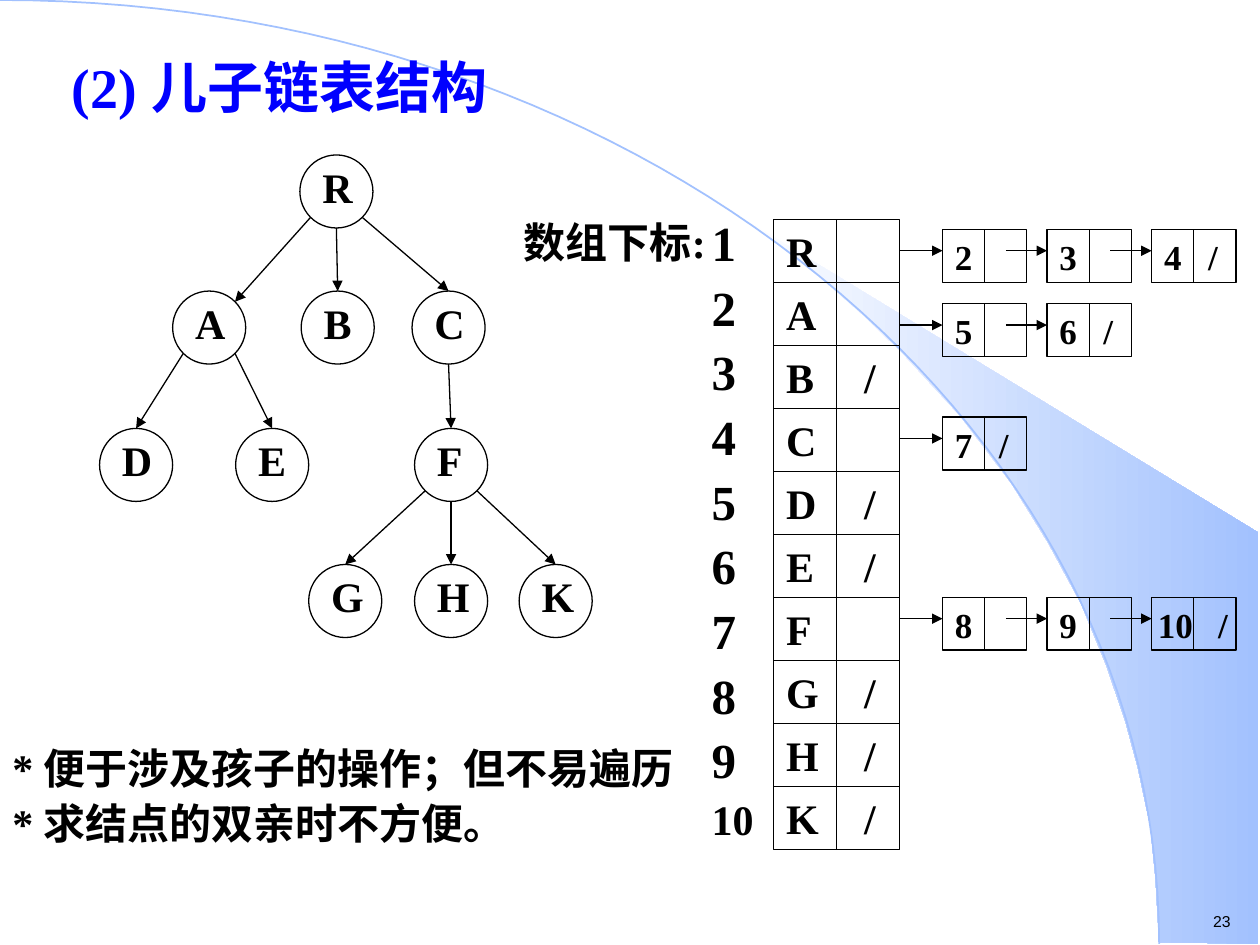
from lxml import etree
from pptx import Presentation
from pptx import util as u
from pptx.dml.color import RGBColor
from pptx.enum import shapes, text
from pptx.oxml.ns import qn

COLORS = {"ink": "000000", "title": "0000FF", "sky": "A2C1FE", "white": "FFFFFF"}
SERIF, SANS = "Times New Roman", "Arial"
ANCHORS = {"top": text.MSO_ANCHOR.TOP, "middle": text.MSO_ANCHOR.MIDDLE}

CIRCLE, DIAGONAL = 0.58, 0.205
TREE = {
    "R": (2.38, 1.23), "A": (1.37, 2.31), "B": (2.39, 2.31), "C": (3.27, 2.31),
    "D": (0.79, 3.4), "E": (1.87, 3.4), "F": (3.29, 3.4),
    "G": (2.45, 4.48), "H": (3.29, 4.48), "K": (4.12, 4.48),
}
EDGES = ["RA", "RB", "RC", "AD", "AE", "CF", "FG", "FH", "FK"]

ARRAY_X, ARRAY_Y, ROW_W, ROW_H = 6.14, 1.74, 1, 0.5
ROWS = ["R", "A", "B\t/", "C", "D\t/", "E\t/", "F", "G\t/", "H\t/", "K\t/"]
NODE_X, NODE_STEP, NODE_W, NODE_H = 7.48, 0.83, 0.67, 0.42
CHAINS = [
    (1.82, ["2", "3", "4\t/"]),
    (2.41, ["5", "6\t/"]),
    (3.31, ["7\t/"]),
    (4.74, ["8", "9", "10\t/"]),
]

BAND = [
    (9.2, 7.48), (9.99, 7.49), (9.99, 4.23), (5.89, 1.73), (6.24, 1.99), (6.53, 2.22),
    (6.85, 2.5), (7.16, 2.8), (7.62, 3.3), (8.03, 3.84), (8.32, 4.31), (8.58, 4.79),
    (8.78, 5.28), (8.93, 5.72), (9.03, 6.09), (9.13, 6.56), (9.17, 6.96),
]
ARC = [(0, 0), (5.08, 0), (9.2, 3.35), (9.2, 7.49)]


def bezier(controls, steps=60):
    """Return points along a cubic curve."""
    points = []
    for step in range(steps + 1):
        t = step / steps
        weights = [(1 - t) ** 3, 3 * t * (1 - t) ** 2, 3 * t * t * (1 - t), t ** 3]
        points.append(tuple(sum(w * c[axis] for w, c in zip(weights, controls))
                            for axis in (0, 1)))
    return points


def apply(target, values):
    """Set each attribute named in values."""
    for name, value in values.items():
        setattr(target, name, value)


class Sketch:
    """Draws styled elements on the current slide."""

    def __init__(self, slide):
        """Keep the slide that receives the elements."""
        self.slide = slide

    def color(self, name):
        """Look up a palette colour."""
        return RGBColor.from_string(COLORS[name])

    def outline(self, element, color="ink", width=0.75):
        """Give an element a solid line."""
        element.line.color.rgb = self.color(color)
        element.line.width = u.Pt(width)

    def fill_text(self, frame, lines, size=24, font=SERIF, color="ink", bold=True,
                  anchor="top", wrap=False, spacing=None, tab=None):
        """Fill a text frame with one paragraph per line."""
        apply(frame, {"word_wrap": wrap, "vertical_anchor": ANCHORS[anchor]})
        frame.text = "\n".join(lines)
        for paragraph in frame.paragraphs:
            if tab:
                tabs = etree.SubElement(paragraph._p.get_or_add_pPr(), qn("a:tabLst"))
                etree.SubElement(tabs, qn("a:tab"), pos=str(u.Inches(tab)), algn="l")
            apply(paragraph, {"alignment": text.PP_ALIGN.LEFT, "line_spacing": spacing})
            for run in paragraph.runs:
                apply(run.font, {"size": u.Pt(size), "name": font, "bold": bold})
                run.font.color.rgb = self.color(color)

    def label(self, box, *lines, **style):
        """Add a text box."""
        frame = self.slide.shapes.add_textbox(*map(u.Inches, box)).text_frame
        self.fill_text(frame, lines, **style)
        return frame

    def shape(self, kind, box):
        """Add an unfilled preset shape."""
        shape = self.slide.shapes.add_shape(kind, *map(u.Inches, box))
        shape.shadow.inherit = False
        shape.fill.background()
        self.outline(shape)
        return shape

    def line(self, start, end, arrow=False):
        """Add a straight line, with an arrowhead if asked."""
        line = self.slide.shapes.add_connector(
            shapes.MSO_CONNECTOR.STRAIGHT, *map(u.Inches, start + end))
        self.outline(line)
        if arrow:
            etree.SubElement(line.line._get_or_add_ln(), qn("a:tailEnd"), type="triangle")
        etree.SubElement(line._element.spPr, qn("a:effectLst"))
        return line

    def freeform(self, points, close):
        """Add a freeform through the points."""
        first, *rest = [tuple(map(u.Inches, point)) for point in points]
        builder = self.slide.shapes.build_freeform(*first)
        builder.add_line_segments(rest, close=close)
        form = builder.convert_to_shape()
        form.shadow.inherit = False
        return form

    def backdrop(self):
        """Add the shaded band and the large arc."""
        band = self.freeform(BAND, close=True)
        band.line.fill.background()
        band.fill.gradient()
        band.fill.gradient_angle = 0
        for stop, name in zip(band.fill.gradient_stops, ("white", "sky")):
            stop.color.rgb = self.color(name)
        arc = self.freeform(bezier(ARC), close=False)
        arc.fill.background()
        self.outline(arc, "sky", 1)

    def edge(self, parent, child):
        """Add the arrow from a tree node to its child."""
        (px, py), (cx, cy) = TREE[parent], TREE[child]
        half = CIRCLE / 2
        side = 0 if abs(cx - px) < 0.05 else (1 if cx > px else -1)
        drop = DIAGONAL if side else half
        start = (px + half + side * DIAGONAL, py + half + drop)
        end = (cx + half, cy)
        if child == "A":
            end = (cx + half + DIAGONAL, cy + half - DIAGONAL)
        self.line(start, end, arrow=True)

    def tree(self):
        """Add the tree's circles, letters and arrows."""
        for letter, (x, y) in TREE.items():
            self.shape(shapes.MSO_SHAPE.OVAL, (x, y, CIRCLE, CIRCLE))
            self.label((x + 0.08, y, 0.44, 0.5), letter)
        for parent, child in EDGES:
            self.edge(parent, child)

    def array(self):
        """Add the node array and return its rows."""
        rows = []
        for index, content in enumerate(ROWS):
            row = self.shape(shapes.MSO_SHAPE.RECTANGLE,
                             (ARRAY_X, ARRAY_Y + index * ROW_H, ROW_W, ROW_H))
            self.fill_text(row.text_frame, [content], anchor="middle", wrap=True, tab=0.62)
            rows.append(row)
        middle = ARRAY_X + ROW_W / 2
        self.line((middle, ARRAY_Y), (middle, ARRAY_Y + len(ROWS) * ROW_H))
        return rows

    def chain(self, top, items):
        """Add one linked list and return its first arrow."""
        arrows = []
        for index, item in enumerate(items):
            left = NODE_X + index * NODE_STEP
            middle = left + NODE_W / 2
            wide = item.startswith("10")
            tail = left - NODE_STEP + NODE_W * 0.75 if index else ARRAY_X + ROW_W
            self.line((middle, top), (middle, top + NODE_H))
            arrows.append(self.line((tail, top + 0.17), (left, top + 0.17), arrow=True))
            self.shape(shapes.MSO_SHAPE.RECTANGLE, (left, top, NODE_W, NODE_H))
            box = (left - 0.05, top, 0.79, 0.43) if wide else (left, top, NODE_W, 0.43)
            self.label(box, item, size=20, wrap=True, tab=0.48 if wide else 0.35)
        return arrows[0]


def main():
    """Build the slide and save it."""
    deck = Presentation()
    apply(deck, {"slide_width": u.Inches(10), "slide_height": u.Inches(7.5)})
    sketch = Sketch(deck.slides.add_slide(deck.slide_layouts[6]))
    sketch.backdrop()
    sketch.label((9.53, 7.19, 0.35, 0.25), "23", size=9, font=SANS, bold=False)
    sketch.label((0.47, 0.32, 3.62, 0.73), "(2) 儿子链表结构", size=32, color="title",
                 anchor="middle")
    sketch.tree()
    sketch.label((0, 5.8, 5.59, 0.98), "* 便于涉及孩子的操作；但不易遍历",
                 "* 求结点的双亲时不方便。", wrap=True, spacing=1.1)
    indices = sketch.label((5.55, 1.59, 0.55, 5.16), *map(str, range(1, 11)), size=28,
                           wrap=True, spacing=1.1)
    indices.paragraphs[-1].runs[0].font.size = u.Pt(24)
    sketch.label((4.06, 1.67, 1.65, 0.5), "数组下标:")
    rows = sketch.array()
    first, *_ = [sketch.chain(top, items) for top, items in CHAINS]
    first.begin_connect(rows[0], 3)
    deck.save("out.pptx")


if __name__ == "__main__":
    main()
